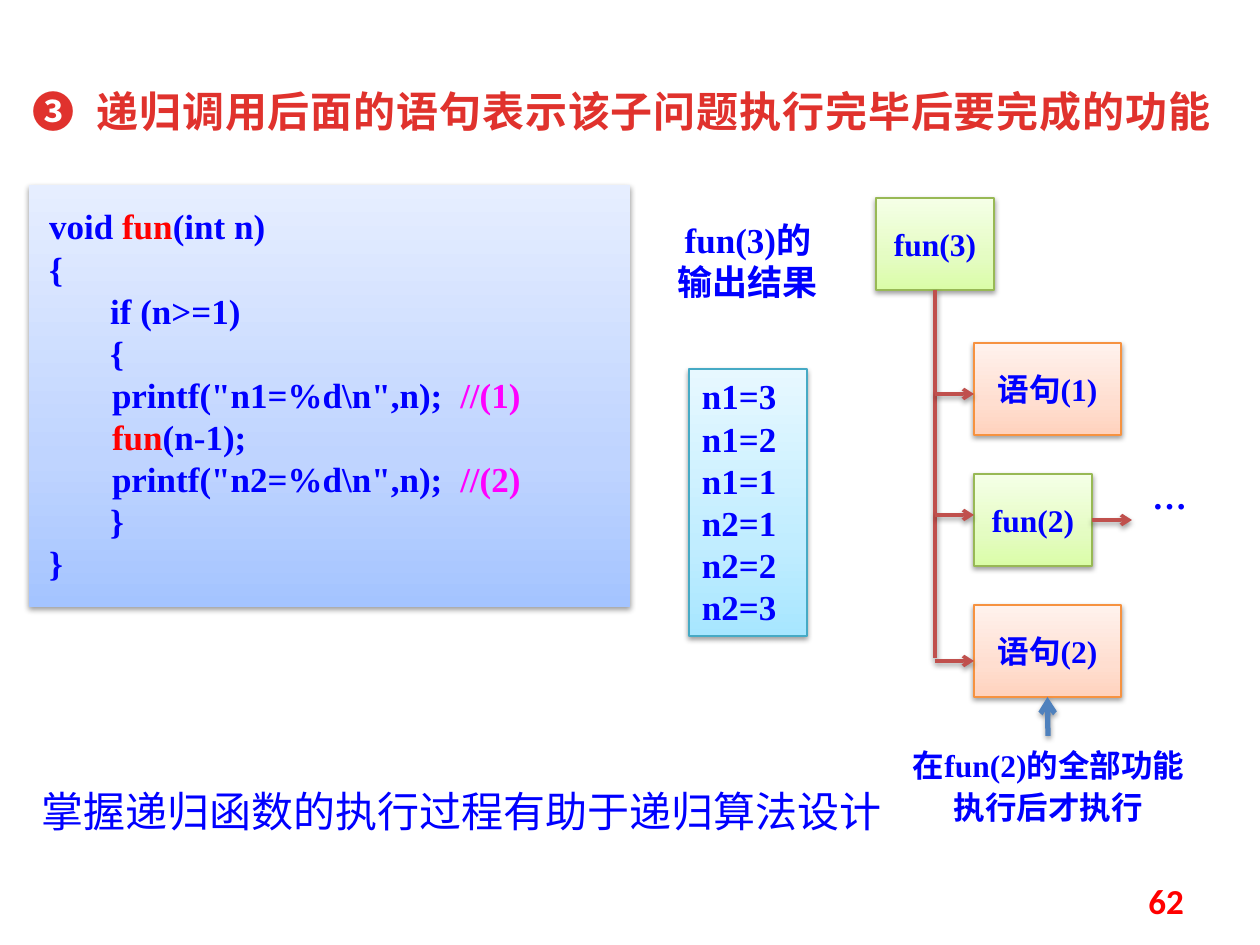
"""Build a slide on what follows a recursive call, with code, output and a call tree."""
from dataclasses import dataclass

from lxml import etree
from pptx import Presentation
from pptx.dml.color import RGBColor
from pptx.enum.shapes import MSO_CONNECTOR, MSO_SHAPE
from pptx.enum.text import MSO_ANCHOR, PP_ALIGN
from pptx.oxml.ns import qn
from pptx.util import Emu, Pt

RECTANGLE = MSO_SHAPE.RECTANGLE
STRAIGHT = MSO_CONNECTOR.STRAIGHT
LEFT, CENTER, RIGHT = PP_ALIGN.LEFT, PP_ALIGN.CENTER, PP_ALIGN.RIGHT
TOP, MIDDLE = MSO_ANCHOR.TOP, MSO_ANCHOR.MIDDLE
BOTTOM_SIDE, RIGHT_SIDE = 2, 3

EMU_PER_PX = 914400 / 126
SERIF, CJK, SANS = "Times New Roman", "Noto Sans CJK SC", "Calibri"
COLORS = {
    "blue": "0000FF", "red": "FF0000", "magenta": "FF00FF", "title": "E0322D",
    "branch": "C0504D", "pointer": "4F81BD",
}


@dataclass(frozen=True)
class Style:
    """Gradient stops from bottom to top, and an optional outline."""
    stops: tuple[str, str, str]
    outline: str | None = None


@dataclass(frozen=True)
class Node:
    """A box of the call tree."""
    label: str
    left: int
    top: int
    width: int
    style: Style


CODE_STYLE = Style(("A4C4FF", "BFD4FF", "E6EEFF"))
OUTPUT_STYLE = Style(("A7E6FF", "C1EDFF", "E7F8FF"), "46AAC5")
CALL_STYLE = Style(("DAFDA7", "E4FCC2", "F5FFE7"), "98B955")
STATEMENT_STYLE = Style(("FFD2BD", "FFDED0", "FFF2ED"), "F69240")

NODE_HEIGHT = 92
TRUNK_X, CHILD_X = 935, 974
CHILD_TOP, CHILD_STEP = 343, 131
ROOT = Node("fun(3)", 876, 198, 118, CALL_STYLE)
CHILDREN = [
    Node(label, CHILD_X, CHILD_TOP + index * CHILD_STEP, width, style)
    for index, (label, width, style) in enumerate([
        ("语句(1)", 147, STATEMENT_STYLE),
        ("fun(2)", 118, CALL_STYLE),
        ("语句(2)", 147, STATEMENT_STYLE),
    ])
]
BRANCH_YS = (394, 515, 661)

CODE = [
    [("void ", "blue"), ("fun", "red"), ("(int n)", "blue")],
    "{",
    "       if (n>=1)",
    "       {",
    [("\tprintf(\"n1=%d\\n\",n);  ", "blue"), ("//(1)", "magenta")],
    [("\t", "blue"), ("fun", "red"), ("(n-1);", "blue")],
    [("\tprintf(\"n2=%d\\n\",n);  ", "blue"), ("//(2)", "magenta")],
    "       }",
    "}",
]
OUTPUT = ["n1=3", "n1=2", "n1=1", "n2=1", "n2=2", "n2=3"]


def px(length: int) -> Emu:
    """Turn px into EMU."""
    return Emu(round(length * EMU_PER_PX))


def rgb(name: str) -> RGBColor:
    """Look up a named colour, or read a hex string."""
    return RGBColor.from_string(COLORS.get(name, name))


def write(shape, lines, *, size=20, font=SERIF, color="blue", bold=True, align=LEFT,
          anchor=TOP, leading: int | None = 24, tracking=0, padding=(13, 6, 13, 6)) -> None:
    """Write lines, each a string or a list of (text, colour) runs, into a shape."""
    frame = shape.text_frame
    frame.word_wrap = True
    frame.vertical_anchor = anchor
    (frame.margin_left, frame.margin_top,
     frame.margin_right, frame.margin_bottom) = map(px, padding)
    for index, line in enumerate(lines):
        paragraph = frame.add_paragraph() if index else frame.paragraphs[0]
        paragraph.alignment = align
        if leading:
            paragraph.line_spacing = Pt(leading)
        for text, run_color in [(line, color)] if isinstance(line, str) else line:
            run = paragraph.add_run()
            run.text = text
            run.font.size = Pt(size)
            run.font.bold = bold
            run.font.color.rgb = rgb(run_color)
            run.font.name = font
            properties = run.font._element
            etree.SubElement(properties, qn("a:ea"), typeface=CJK)
            if tracking:
                properties.set("spc", str(tracking))


def add_text(slide, left: int, top: int, width: int, height: int, lines, **text_format) -> None:
    """Add a text box."""
    box = slide.shapes.add_textbox(px(left), px(top), px(width), px(height))
    write(box, lines, **text_format)


def add_shadow(effects) -> None:
    """Put a soft shadow below the owner of an effect list."""
    shadow = etree.SubElement(effects, qn("a:outerShdw"), blurRad=str(Pt(3.1)),
                              dist=str(Pt(1.6)), dir="5400000", rotWithShape="0")
    black = etree.SubElement(shadow, qn("a:srgbClr"), val="000000")
    etree.SubElement(black, qn("a:alpha"), val="38000")


def add_box(slide, left: int, top: int, width: int, height: int, style: Style, lines,
            **text_format):
    """Add a shadowed rectangle with a vertical gradient and text."""
    shape = slide.shapes.add_shape(RECTANGLE, px(left), px(top), px(width), px(height))
    shape.fill.gradient()
    shape.fill.gradient_angle = 90
    properties = shape._element.spPr
    stop_list = properties.find(f".//{qn('a:gsLst')}")
    for stop in list(stop_list):
        stop_list.remove(stop)
    for position, color in zip((0, 35, 100), style.stops):
        stop = etree.SubElement(stop_list, qn("a:gs"), pos=str(position * 1000))
        etree.SubElement(stop, qn("a:srgbClr"), val=color)
    if style.outline:
        shape.line.color.rgb = rgb(style.outline)
        shape.line.width = Pt(0.75)
    else:
        shape.line.fill.background()
    shape.shadow.inherit = False
    add_shadow(properties.find(qn("a:effectLst")))
    write(shape, lines, **text_format)
    return shape


def add_node(slide, node: Node):
    """Add one box of the call tree."""
    return add_box(slide, node.left, node.top, node.width, NODE_HEIGHT, node.style,
                   [node.label], size=18, align=CENTER, anchor=MIDDLE, leading=None)


def add_line(slide, start: tuple[int, int], end: tuple[int, int], *, color="branch",
             width=2, arrow=True):
    """Add a shadowed straight connector, with an arrowhead at its end if wanted."""
    line = slide.shapes.add_connector(STRAIGHT, *map(px, start + end))
    line.line.color.rgb = rgb(color)
    line.line.width = Pt(width)
    if arrow:
        etree.SubElement(line.line._get_or_add_ln(), qn("a:tailEnd"), type="arrow")
    add_shadow(etree.SubElement(line._element.spPr, qn("a:effectLst")))
    return line


def add_call_tree(slide) -> None:
    """Draw the calls and statements run by fun(3)."""
    root = add_node(slide, ROOT)
    _, inner_call, last_statement = [add_node(slide, node) for node in CHILDREN]
    trunk = add_line(slide, (TRUNK_X, 290), (TRUNK_X, 658), arrow=False)
    trunk.begin_connect(root, BOTTOM_SIDE)
    for y in BRANCH_YS:
        add_line(slide, (TRUNK_X, y), (CHILD_X, y))
    onward = add_line(slide, (1092, 520), (1132, 520))
    onward.begin_connect(inner_call, RIGHT_SIDE)
    add_text(slide, 1131, 479, 79, 55, ["…"], font=CJK, align=CENTER)
    pointer = add_line(slide, (1048, 736), (1048, 697), color="pointer", width=3)
    pointer.end_connect(last_statement, BOTTOM_SIDE)
    add_text(slide, 886, 736, 325, 97, ["在fun(2)的全部功能执行后才执行"], size=18, align=CENTER)


def main() -> None:
    """Build and save the presentation."""
    presentation = Presentation()
    presentation.slide_width, presentation.slide_height = px(1260), px(945)
    slide = presentation.slides.add_slide(presentation.slide_layouts[6])
    add_text(slide, 20, 79, 1211, 69, ["❸  递归调用后面的语句表示该子问题执行完毕后要完成的功能"],
             size=24, font=CJK, color="title", leading=None, tracking=50)
    add_box(slide, 29, 185, 601, 422, CODE_STYLE, CODE, padding=(20, 20, 13, 20))
    add_box(slide, 689, 369, 118, 267, OUTPUT_STYLE, OUTPUT)
    add_text(slide, 659, 212, 178, 97, ["fun(3)的输出结果"], align=CENTER)
    add_call_tree(slide)
    add_text(slide, 29, 788, 896, 55, ["掌握递归函数的执行过程有助于递归算法设计"],
             size=24, font=CJK, bold=False)
    add_text(slide, 903, 876, 294, 50, ["62"], font=SANS, color="red", align=RIGHT,
             anchor=MIDDLE, leading=None)
    presentation.save("out.pptx")


if __name__ == "__main__":
    main()
